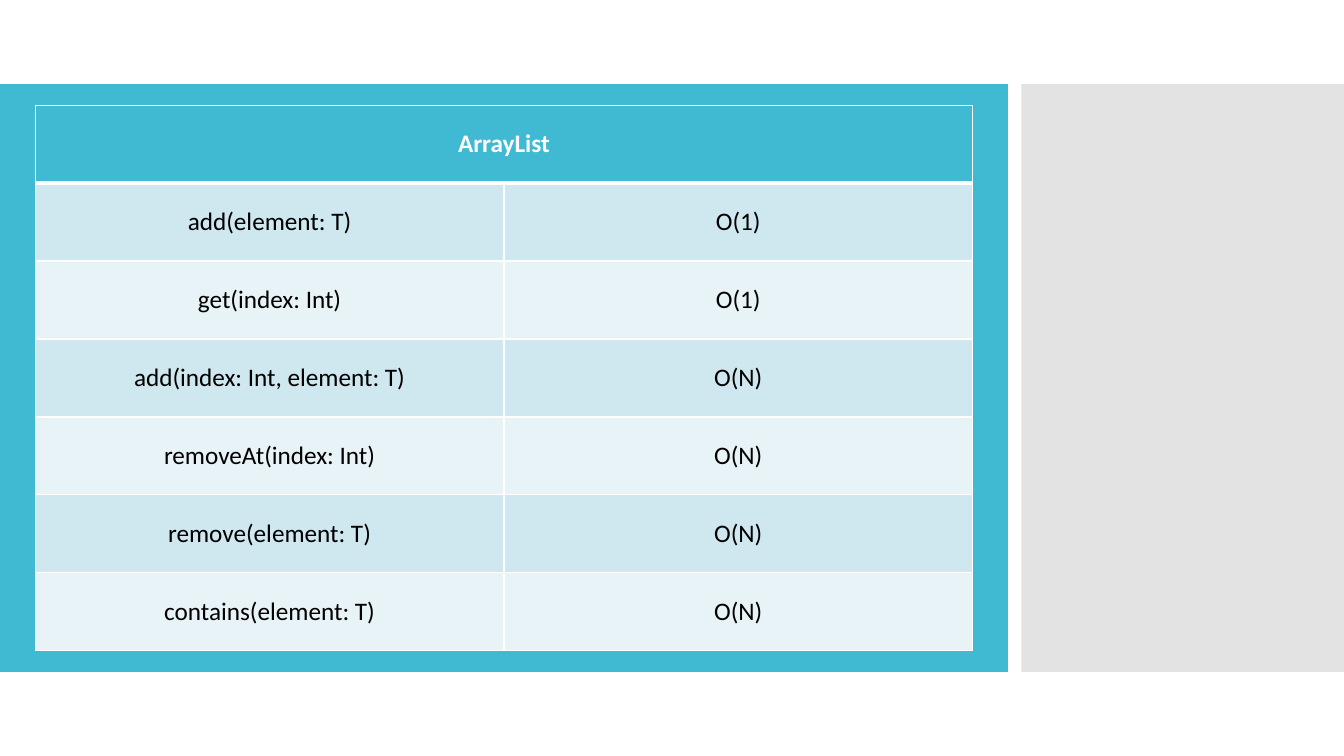
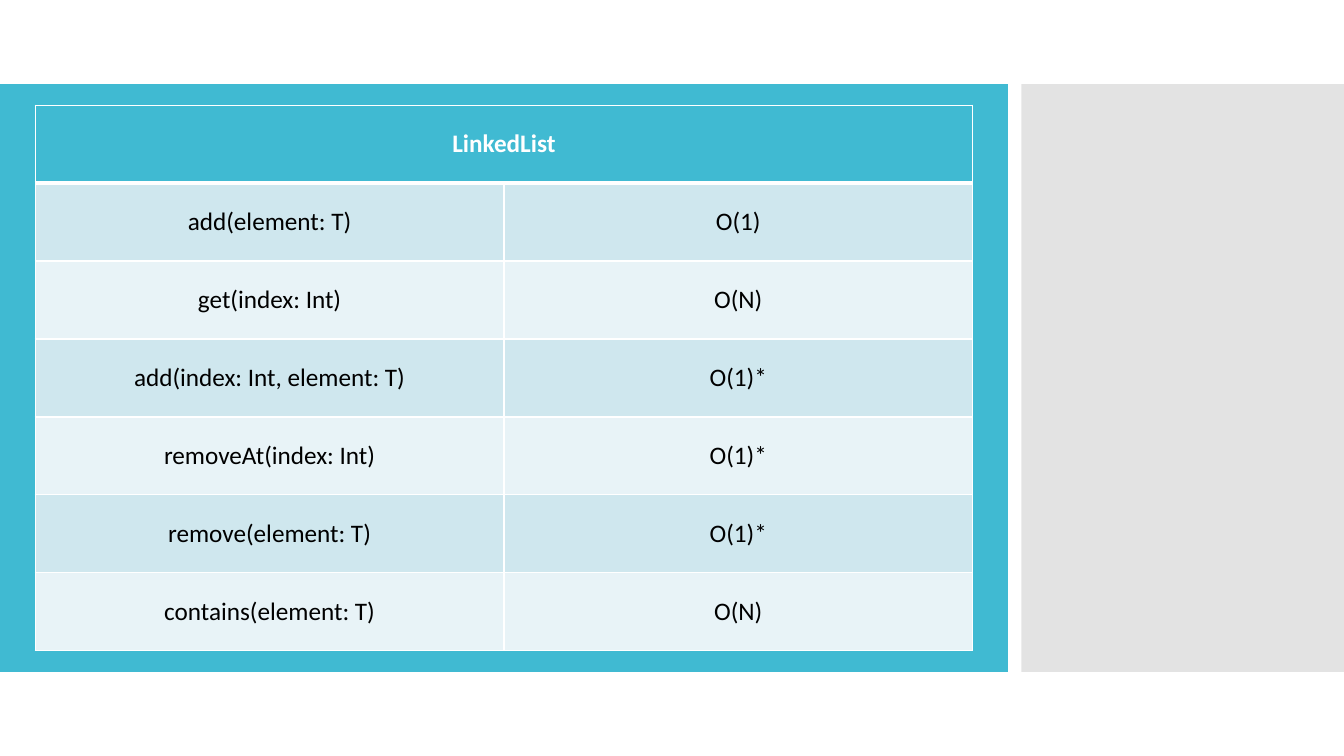
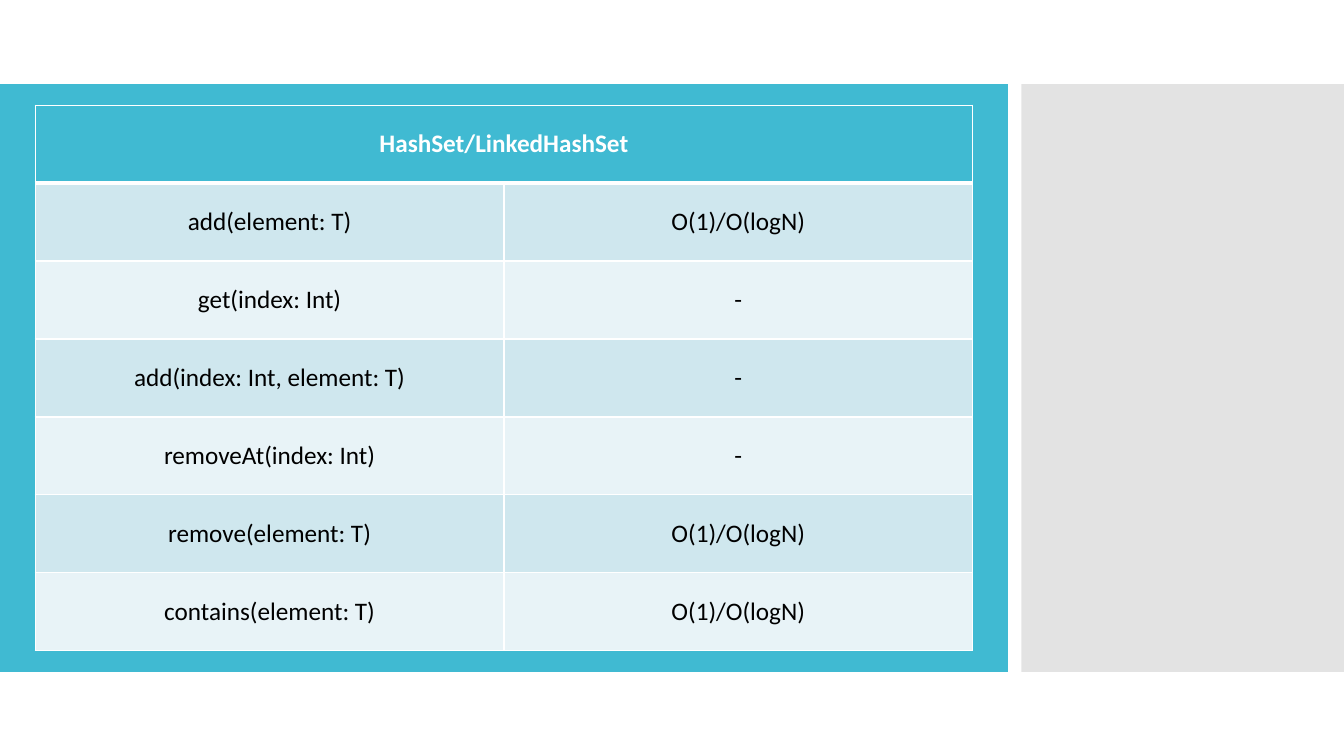
import lxml.etree
import pptx
import pptx.dml.color
import pptx.enum.shapes
import pptx.enum.text
import pptx.oxml.ns
import pptx.util

COLORS = {
    "accent": "40BAD2",
    "side": "C8C8C8",
    "odd_row": "CFE7EE",
    "even_row": "E8F3F7",
    "white": "FFFFFF",
    "black": "000000",
}
BODY_FONT = {"name": "Calibri", "size": pptx.util.Pt(18), "bold": False}
HEADER_FONT = {**BODY_FONT, "bold": True}
SLIDE_WIDTH = pptx.util.Inches(13.33)
SLIDE_HEIGHT = pptx.util.Inches(7.5)
BAND_TOP = 1 / 9
BAND_HEIGHT = 7 / 9
MAIN_SHARE = 0.75
SIDE_START = 0.76
SIDE_OPACITY = 50
TABLE_INSET_X = pptx.util.Inches(0.35)
TABLE_INSET_Y = pptx.util.Inches(0.21)
THIN, THICK = 1, 3

OPERATIONS = [
    "add(element: T)",
    "get(index: Int)",
    "add(index: Int, element: T)",
    "removeAt(index: Int)",
    "remove(element: T)",
    "contains(element: T)",
]
COLLECTIONS = {
    "ArrayList": ["O(1)", "O(1)", "O(N)", "O(N)", "O(N)", "O(N)"],
    "LinkedList": ["O(1)", "O(N)", "O(1)*", "O(1)*", "O(1)*", "O(N)"],
    "HashSet/LinkedHashSet": [
        "O(1)/O(logN)", "-", "-", "-", "O(1)/O(logN)", "O(1)/O(logN)",
    ],
}


def rgb(color):
    return pptx.dml.color.RGBColor.from_string(COLORS[color])


def add_element(parent, tag, **attributes):
    return lxml.etree.SubElement(parent, pptx.oxml.ns.qn(tag), attributes)


def add_band(slide, start, end, color, opacity=100):
    left, right = round(SLIDE_WIDTH * start), round(SLIDE_WIDTH * end)
    box = (left, round(SLIDE_HEIGHT * BAND_TOP),
           right - left, round(SLIDE_HEIGHT * BAND_HEIGHT))
    band = slide.shapes.add_shape(pptx.enum.shapes.MSO_SHAPE.RECTANGLE, *box)
    band.shadow.inherit = False
    band.fill.solid()
    band.fill.fore_color.rgb = rgb(color)
    band.line.fill.background()
    if opacity < 100:
        fill_color = band.fill._xPr.find(".//" + pptx.oxml.ns.qn("a:srgbClr"))
        add_element(fill_color, "a:alpha", val=str(opacity * 1000))
    return box


def set_borders(cell, top, bottom):
    properties = cell._tc.get_or_add_tcPr()
    widths = {"a:lnL": THIN, "a:lnR": THIN, "a:lnT": top, "a:lnB": bottom}
    for tag, width in widths.items():
        line = add_element(properties, tag, w=str(pptx.util.Pt(width)))
        fill = add_element(line, "a:solidFill")
        add_element(fill, "a:srgbClr", val=COLORS["white"])


def style_cell(cell, text, fill, color, font_format, top=THIN, bottom=THIN):
    set_borders(cell, top, bottom)
    cell.fill.solid()
    cell.fill.fore_color.rgb = rgb(fill)
    cell.vertical_anchor = pptx.enum.text.MSO_ANCHOR.MIDDLE
    paragraph = cell.text_frame.paragraphs[0]
    paragraph.alignment = pptx.enum.text.PP_ALIGN.CENTER
    if text:
        run = paragraph.add_run()
        run.text = text
        for name, value in font_format.items():
            setattr(run.font, name, value)
        run.font.color.rgb = rgb(color)


def add_complexity_table(slide, box, title, complexities):
    left, top, width, height = box
    table = slide.shapes.add_table(
        len(OPERATIONS) + 1, 2,
        left + TABLE_INSET_X, top + TABLE_INSET_Y,
        width - 2 * TABLE_INSET_X, height - 2 * TABLE_INSET_Y,
    ).table
    table.cell(0, 0).merge(table.cell(0, 1))
    for column, text in enumerate((title, "")):
        style_cell(table.cell(0, column), text, "accent", "white",
                   HEADER_FONT, bottom=THICK)
    for row, texts in enumerate(zip(OPERATIONS, complexities), start=1):
        fill = "odd_row" if row % 2 else "even_row"
        for column, text in enumerate(texts):
            style_cell(table.cell(row, column), text, fill, "black",
                       BODY_FONT, top=THICK if row == 1 else THIN)


def add_complexity_slide(presentation, title, complexities):
    slide = presentation.slides.add_slide(presentation.slide_layouts[6])
    main_box = add_band(slide, 0, MAIN_SHARE, "accent")
    add_band(slide, SIDE_START, 1, "side", SIDE_OPACITY)
    add_complexity_table(slide, main_box, title, complexities)


def main():
    presentation = pptx.Presentation()
    presentation.slide_width = SLIDE_WIDTH
    presentation.slide_height = SLIDE_HEIGHT
    for title, complexities in COLLECTIONS.items():
        add_complexity_slide(presentation, title, complexities)
    presentation.save("out.pptx")


if __name__ == "__main__":
    main()
